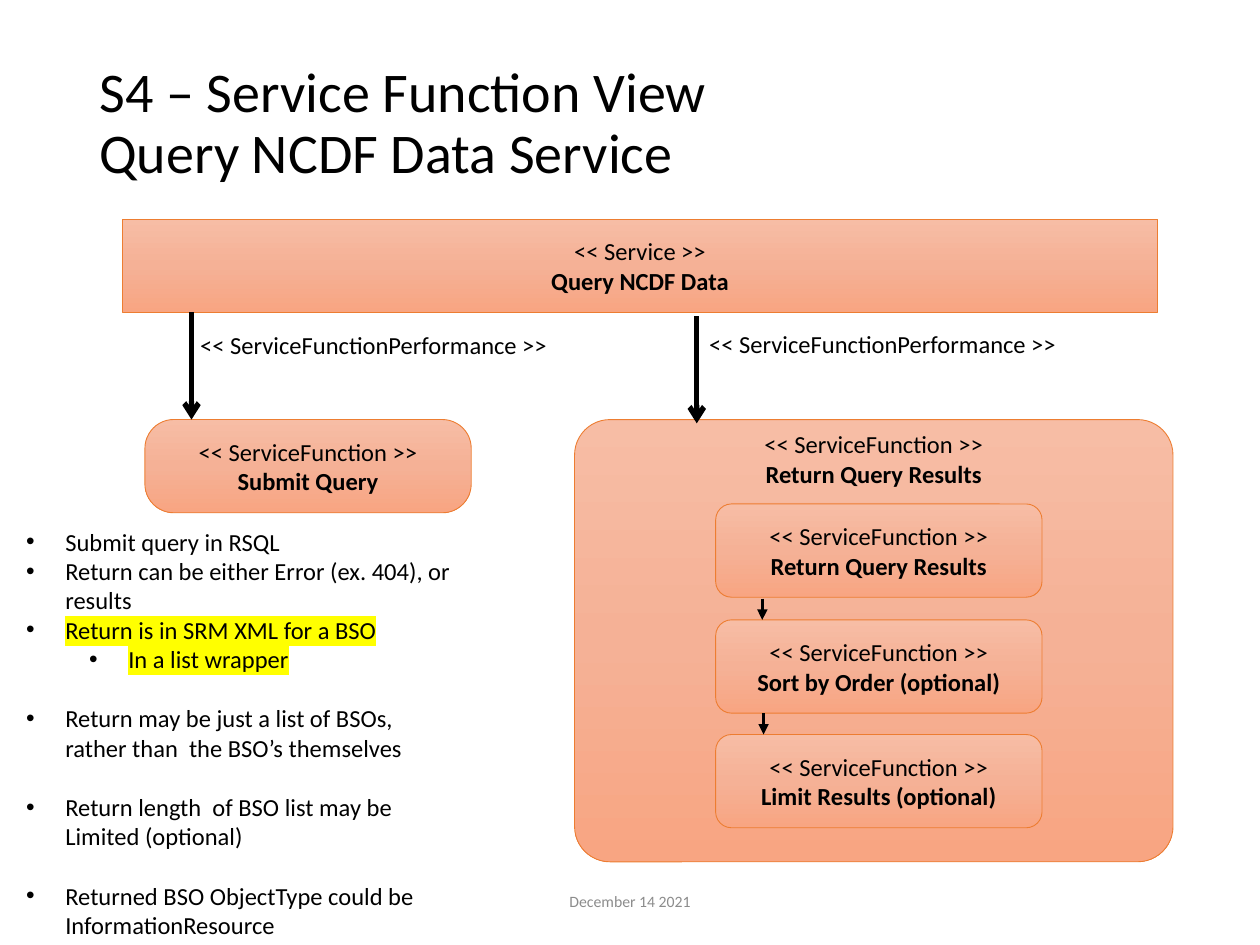
from copy import deepcopy
from dataclasses import dataclass
from typing import Any

from pptx import Presentation
from pptx.dml.color import RGBColor as Rgb
from pptx.enum.shapes import MSO_CONNECTOR as Conn, MSO_SHAPE as Geo
from pptx.enum.text import MSO_ANCHOR as Anchor, PP_ALIGN as Align
from pptx.oxml.ns import qn
from pptx.oxml.xmlchemy import OxmlElement as Elem
from pptx.util import Pt

PX = 9144
FONT = "Calibri"
STOPS = {0: "F7BDA5", 0.5: "F5B196", 1: "F8A582"}
FUNC = "<< ServiceFunction >>"
PERF = "<< ServiceFunctionPerformance >>"


@dataclass
class Box:
    x: int
    y: int
    w: int
    h: int


@dataclass
class Node:
    box: Box
    kind: str = ""
    name: str = ""
    round: float | None = None


@dataclass
class Arrow:
    x: int
    top: int
    end: int
    width: int
    head: str


@dataclass
class Item:
    text: str
    level: int = 0
    mark: bool = False
    gap: int = 0


def hue(code: str) -> Rgb:
    return Rgb.from_string(code)


def put(thing: Any, **vals: Any) -> None:
    for key, val in vals.items():
        setattr(thing, key, val)


def area(box: Box) -> list[int]:
    return [n * PX for n in (box.x, box.y, box.w, box.h)]


def write(para: Any, text: str, size: int = 14, color: str = "000000",
          bold: bool = False) -> None:
    para.text = text
    for run in para.runs:
        run.font.color.rgb = hue(color)
        put(run.font, name=FONT, size=Pt(size), bold=bold)


def label(box: Box, text: str = "", wrap: bool = True,
          anchor: Any = Anchor.TOP, **style: Any) -> Any:
    frame = slide.shapes.add_textbox(*area(box)).text_frame
    put(frame, word_wrap=wrap, vertical_anchor=anchor)
    if text:
        write(frame.paragraphs[0], text, **style)
    return frame


def pair(frame: Any, kind: str, name: str) -> None:
    first, last = frame.paragraphs[0], frame.add_paragraph()
    write(first, kind)
    write(last, name, bold=True)
    for para in (first, last):
        para.alignment = Align.CENTER


def draw(node: Node) -> None:
    geo = Geo.RECTANGLE if node.round is None else Geo.ROUNDED_RECTANGLE
    shape = slide.shapes.add_shape(geo, *area(node.box))
    shape.shadow.inherit = False
    if node.round is not None:
        shape.adjustments[0] = node.round
    shape.fill.gradient()
    shape.fill.gradient_angle = 270
    stops = next(shape.fill._xPr.iter(qn("a:gsLst")))
    stops.append(deepcopy(stops[0]))
    for stop, (pos, code) in zip(shape.fill.gradient_stops, STOPS.items()):
        stop.position = pos
        stop.color.rgb = hue(code)
    shape.line.color.rgb = hue("ED7D31")
    shape.line.width = Pt(0.5)
    if node.name:
        shape.text_frame.vertical_anchor = Anchor.MIDDLE
        pair(shape.text_frame, node.kind, node.name)


def point(arrow: Arrow) -> None:
    x = arrow.x * PX
    link = slide.shapes.add_connector(
        Conn.STRAIGHT, x, arrow.top * PX, x, arrow.end * PX)
    link.line.color.rgb = hue("000000")
    link.line.width = Pt(arrow.width)
    tip = Elem("a:tailEnd")
    tip.set("type", arrow.head)
    link.line._get_or_add_ln().append(tip)
    link._element.spPr.append(Elem("a:effectLst"))


def bullet(para: Any, item: Item) -> None:
    props = para._p.get_or_add_pPr()
    props.set("marL", str((31 + 50 * item.level) * PX))
    props.set("indent", str(-31 * PX))
    face = Elem("a:buFont")
    face.set("typeface", "Arial")
    dot = Elem("a:buChar")
    dot.set("char", "•")
    props.extend([face, dot])
    put(para, level=item.level, space_before=Pt(item.gap))
    write(para, item.text)
    if item.mark:
        for run in para.runs:
            glow = Elem("a:highlight")
            tint = Elem("a:srgbClr")
            tint.set("val", "FFFF00")
            glow.append(tint)
            run._r.rPr.find(qn("a:latin")).addprevious(glow)


deck = Presentation()
put(deck, slide_width=1000 * PX, slide_height=750 * PX)
slide = deck.slides.add_slide(deck.slide_layouts[6])

title = label(Box(69, 40, 862, 118),
              "S4 – Service Function View\vQuery NCDF Data Service",
              anchor=Anchor.MIDDLE, size=32)
title.paragraphs[0].line_spacing = 0.9
date = label(Box(331, 695, 338, 40), "December 14 2021",
             anchor=Anchor.MIDDLE, size=9, color="8C8C8C")
date.paragraphs[0].alignment = Align.CENTER

draw(Node(Box(97, 174, 822, 74), "<< Service >>", "Query NCDF Data"))
draw(Node(Box(115, 333, 259, 74), FUNC, "Submit Query", 0.31))
draw(Node(Box(456, 333, 475, 351), round=0.08))
pair(label(Box(596, 336, 195, 57), wrap=False), FUNC, "Return Query Results")

steps = ["Return Query Results", "Sort by Order (optional)",
         "Limit Results (optional)"]
for i, step in enumerate(steps):
    draw(Node(Box(568, 400 + round(91.5 * i), 259, 74), FUNC, step, 0.17))

for arrow in (Arrow(152, 248, 333, 3, "arrow"),
              Arrow(553, 251, 336, 3, "arrow"),
              Arrow(605, 475, 492, 2, "triangle"),
              Arrow(606, 566, 583, 2, "triangle")):
    point(arrow)

for x, y in ((149, 257), (553, 256)):
    label(Box(x, y, 298, 34), PERF, wrap=False)

items = [
    Item("Submit query in RSQL"),
    Item("Return can be either Error (ex. 404), or results"),
    Item("Return is in SRM XML for a BSO", mark=True),
    Item("In a list wrapper", level=1, mark=True),
    Item("Return may be just a list of BSOs, rather than  the BSO’s themselves",
         gap=17),
    Item("Return length  of BSO list may be Limited (optional)", gap=17),
    Item("Returned BSO ObjectType could be InformationResource", gap=17),
]
notes = label(Box(11, 413, 358, 340))
for i, item in enumerate(items):
    bullet(notes.add_paragraph() if i else notes.paragraphs[0], item)

deck.save("out.pptx")
